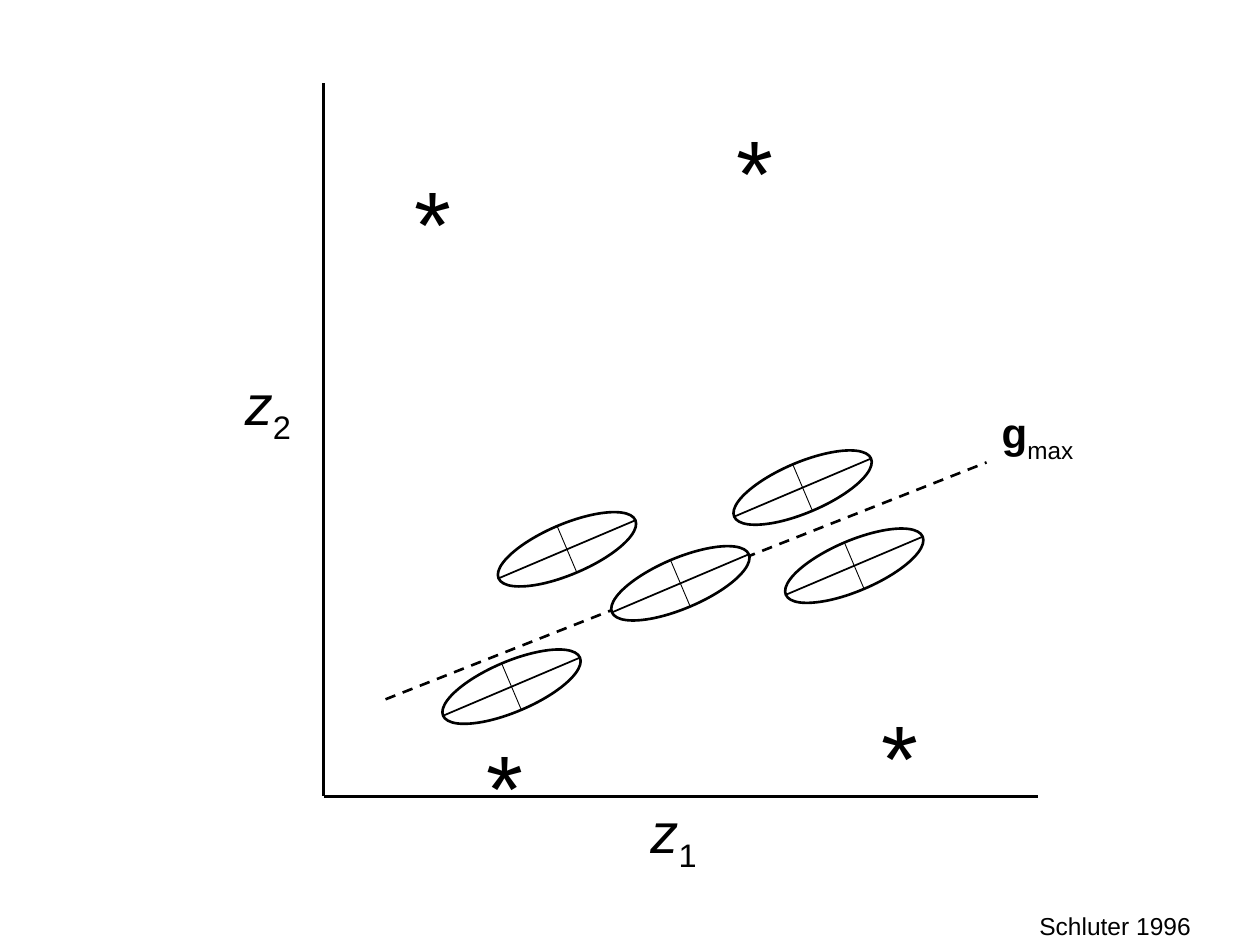
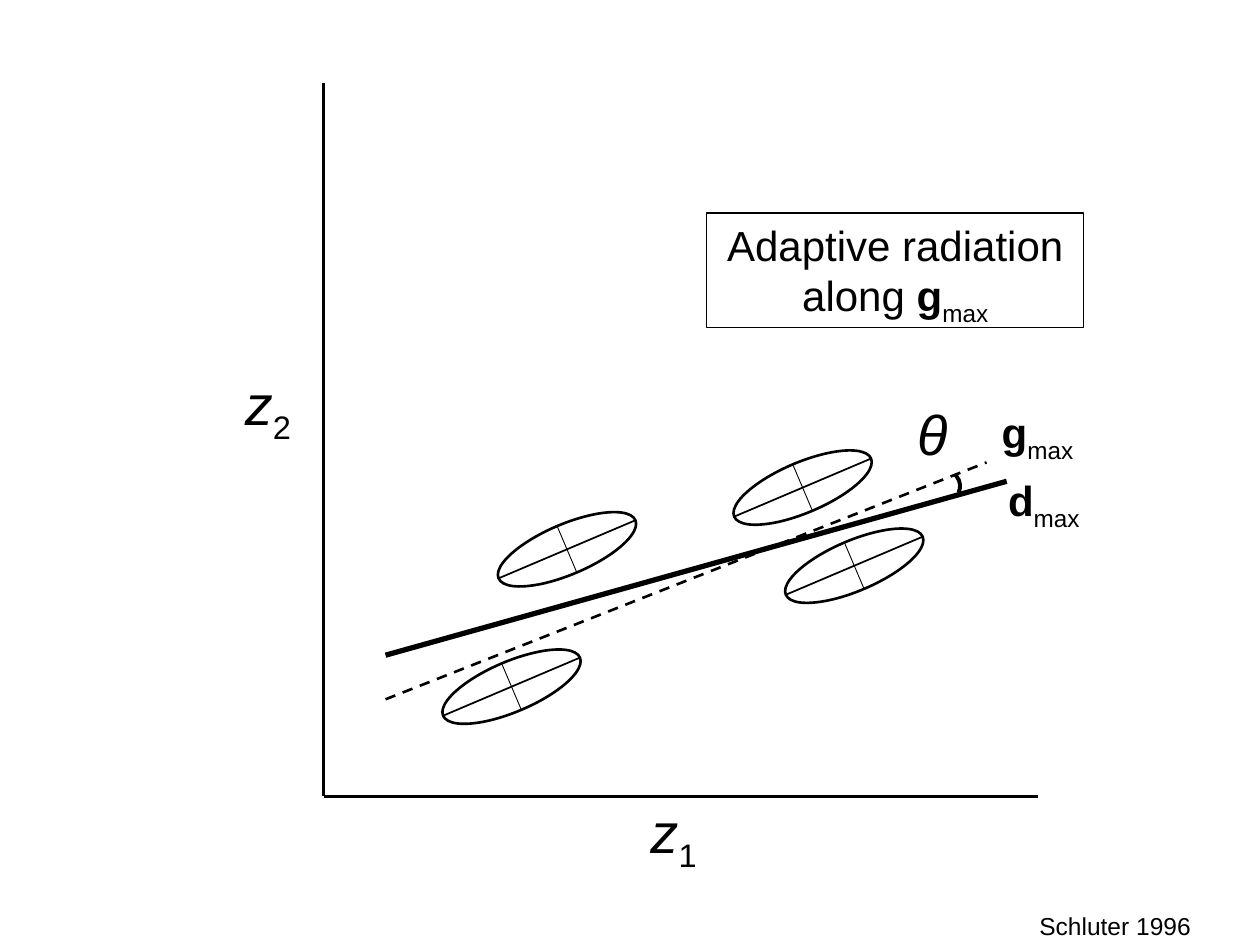
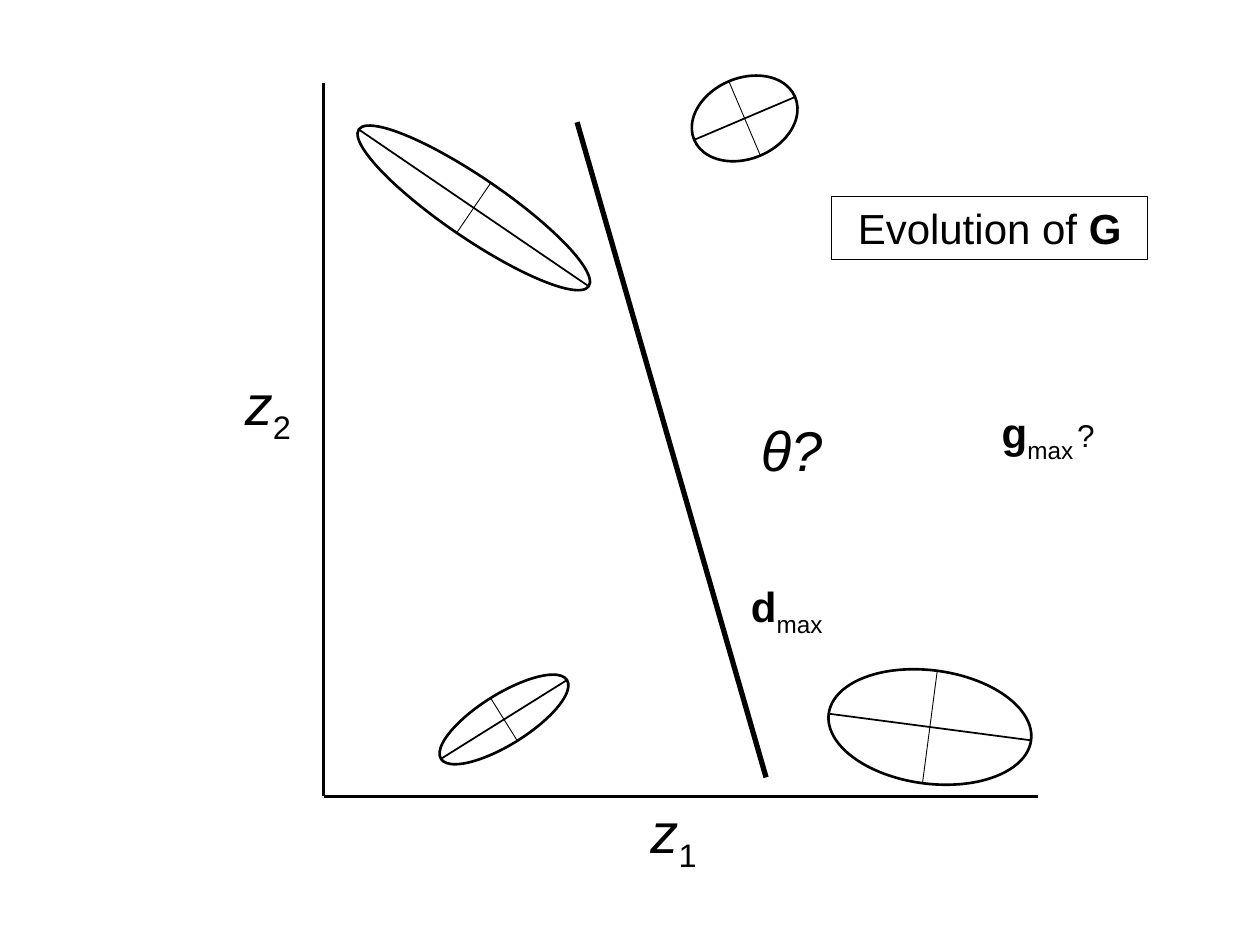
from dataclasses import dataclass
from math import cos, radians, sin

from lxml import etree
from pptx import Presentation
from pptx import util as u
from pptx.dml.color import RGBColor
from pptx.enum import dml, shapes, text
from pptx.oxml import ns


@dataclass(frozen=True)
class Theme:
    font: str = "Arial"
    ink: RGBColor = RGBColor(0, 0, 0)
    paper: RGBColor = RGBColor(255, 255, 255)
    star: int = 54
    symbol: int = 32
    body: int = 24
    query: int = 18
    citation: int = 14
    hairline: float = 0.5
    frame: float = 0.75
    major: float = 1
    outline: float = 1.5
    arc: float = 2.25
    bold_line: float = 3


@dataclass(frozen=True)
class Box:
    left: float
    top: float
    width: float
    height: float

    def inner(self, x, y, width, height):
        """Box placed at x, y from this box's top left corner."""
        return Box(self.left + x, self.top + y, width, height)

    def point(self, x, y):
        return self.left + x, self.top + y

    def lengths(self):
        return [u.Inches(v) for v in (self.left, self.top, self.width, self.height)]


THEME = Theme()
PLOT = Box(2.57, 0.66, 5.67, 5.66)
CITATION = Box(7.64, 7.18, 2.42, 0.32)

# Centres and size of the alike ellipses, measured from the plot's corner
POPULATIONS = [(1.49, 4.79), (1.93, 3.70), (3.80, 3.21), (4.21, 3.83)]
ANCESTOR = (2.83, 3.97)
POPULATION_SIZE = (1.18, 0.40)
POPULATION_TILT = -23

STARS = [(3.18, 0.19), (1.19, 5.07), (0.62, 0.59), (4.33, 4.83)]

# Evolved ellipses: centre, size, tilt
EVOLVED = [
    ((1.43, 5.05), (1.18, 0.40), -32),
    ((1.19, 0.99), (2.21, 0.48), 34.3),
    ((3.34, 0.28), (0.87, 0.64), -23),
    ((4.81, 5.11), (1.62, 0.90), 7.5),
]


# Basic parts
def write(frame, runs, size=THEME.body, align=text.PP_ALIGN.LEFT, wrap=False):
    """Fill a text frame with (text, style) runs; style holds b, i or s (subscript)."""
    frame.word_wrap = wrap
    frame.auto_size = text.MSO_AUTO_SIZE.SHAPE_TO_FIT_TEXT
    frame.vertical_anchor = text.MSO_ANCHOR.TOP
    paragraph = frame.paragraphs[0]
    paragraph.alignment = align
    for words, style in runs:
        run = paragraph.add_run()
        run.text = words
        run.font.name = THEME.font
        run.font.size = u.Pt(size)
        run.font.color.rgb = THEME.ink
        run.font.bold = "b" in style
        run.font.italic = "i" in style
        if "s" in style:
            run._r.get_or_add_rPr().set("baseline", "-25000")


def label(slide, box, *runs, **style):
    write(slide.shapes.add_textbox(*box.lengths()).text_frame, runs, **style)


def stroke(part, weight):
    part.line.color.rgb = THEME.ink
    part.line.width = u.Pt(weight)


def line(parent, start, end, weight, dashed=False):
    ends = [u.Inches(v) for v in (*start, *end)]
    connector = parent.shapes.add_connector(shapes.MSO_CONNECTOR.STRAIGHT, *ends)
    stroke(connector, weight)
    if dashed:
        connector.line.dash_style = dml.MSO_LINE.DASH
    etree.SubElement(connector._element.spPr, ns.qn("a:effectLst"))


def outlined(parent, kind, box, weight, filled=False):
    part = parent.shapes.add_shape(kind, *box.lengths())
    part.shadow.inherit = False
    if filled:
        part.fill.solid()
        part.fill.fore_color.rgb = THEME.paper
    else:
        part.fill.background()
    stroke(part, weight)
    return part


# Parts of the diagram
def axes(slide, plot):
    group = slide.shapes.add_group_shape()
    origin = plot.point(0, plot.height)
    line(group, plot.point(0, 0), origin, THEME.outline)
    line(group, origin, plot.point(plot.width, plot.height), THEME.outline)
    for digit, x, y in (("1", 2.48, 5.62), ("2", -0.74, 2.22)):
        label(slide, plot.inner(x, y, 0.59, 0.64), ("z", "i"), (digit, "s"),
              size=THEME.symbol, align=text.PP_ALIGN.CENTER)


def crossed_ellipse(slide, plot, centre, size, tilt):
    """Tilted ellipse with its major and minor axes."""
    group = slide.shapes.add_group_shape()
    (x, y), (width, height) = centre, size
    box = plot.inner(x - width / 2, y - height / 2, width, height)
    outlined(group, shapes.MSO_SHAPE.OVAL, box, THEME.outline, filled=True).rotation = tilt
    for length, angle, weight in ((width, tilt, THEME.major),
                                  (height, tilt + 90, THEME.hairline)):
        dx = length / 2 * cos(radians(angle))
        dy = length / 2 * sin(radians(angle))
        line(group, plot.point(x - dx, y - dy), plot.point(x + dx, y + dy), weight)


def populations(slide, plot, centres):
    for centre in centres:
        crossed_ellipse(slide, plot, centre, POPULATION_SIZE, POPULATION_TILT)


def max_label(slide, plot, letter, x, y):
    label(slide, plot.inner(x, y, 0.83, 0.50), (letter, "b"), ("max", "s"),
          align=text.PP_ALIGN.CENTER)


def g_max(slide, plot):
    line(slide, plot.point(0.49, 4.89), plot.point(5.26, 3.01), THEME.outline, dashed=True)
    max_label(slide, plot, "g", 5.25, 2.52)


def message(slide, box, *runs):
    panel = outlined(slide, shapes.MSO_SHAPE.RECTANGLE, box, THEME.frame)
    write(panel.text_frame, runs, align=text.PP_ALIGN.CENTER, wrap=True)


def citation(slide, box):
    label(slide, box, ("Schluter 1996", ""), size=THEME.citation,
          align=text.PP_ALIGN.CENTER)


# Slides
def optima_slide(slide, plot):
    citation(slide, CITATION)
    axes(slide, plot)
    g_max(slide, plot)
    for x, y in STARS:
        label(slide, plot.inner(x, y, 0.50, 1.01), ("*", ""), size=THEME.star)
    populations(slide, plot, [ANCESTOR, *POPULATIONS])


def radiation_slide(slide, plot):
    citation(slide, CITATION)
    axes(slide, plot)
    g_max(slide, plot)
    populations(slide, plot, POPULATIONS)
    line(slide, plot.point(0.49, 4.54), plot.point(5.42, 3.16), THEME.bold_line)
    max_label(slide, plot, "d", 5.30, 3.06)

    # Angle between the two directions
    angle = outlined(slide, shapes.MSO_SHAPE.ARC, plot.inner(4.72, 3.06, 0.33, 0.28), THEME.arc)
    angle.rotation = -4
    angle.adjustments[0], angle.adjustments[1] = 195.12, 12.58
    label(slide, plot.inner(4.61, 2.46, 0.45, 0.64), ("θ", "i"), size=THEME.symbol)

    message(slide, plot.inner(3.04, 1.03, 2.99, 0.91),
            ("Adaptive radiation along ", ""), ("g", "b"), ("max", "s"))


def evolution_slide(slide, plot):
    axes(slide, plot)
    for centre, size, tilt in EVOLVED:
        crossed_ellipse(slide, plot, centre, size, tilt)
    line(slide, plot.point(2.01, 0.31), plot.point(3.51, 5.51), THEME.bold_line)
    label(slide, plot.inner(3.37, 2.59, 0.69, 0.64), ("θ?", "i"), size=THEME.symbol)
    message(slide, plot.inner(4.03, 0.90, 2.51, 0.50), ("Evolution of ", ""), ("G", "b"))
    max_label(slide, plot, "g", 5.25, 2.52)
    max_label(slide, plot, "d", 3.26, 3.90)
    label(slide, plot.inner(5.88, 2.59, 0.34, 0.40), ("?", ""), size=THEME.query)


def main():
    deck = Presentation()
    deck.slide_width, deck.slide_height = u.Inches(10), u.Inches(7.5)
    blank = deck.slide_layouts[6]
    for build in (optima_slide, radiation_slide, evolution_slide):
        build(deck.slides.add_slide(blank), PLOT)
    deck.save("out.pptx")


if __name__ == "__main__":
    main()
